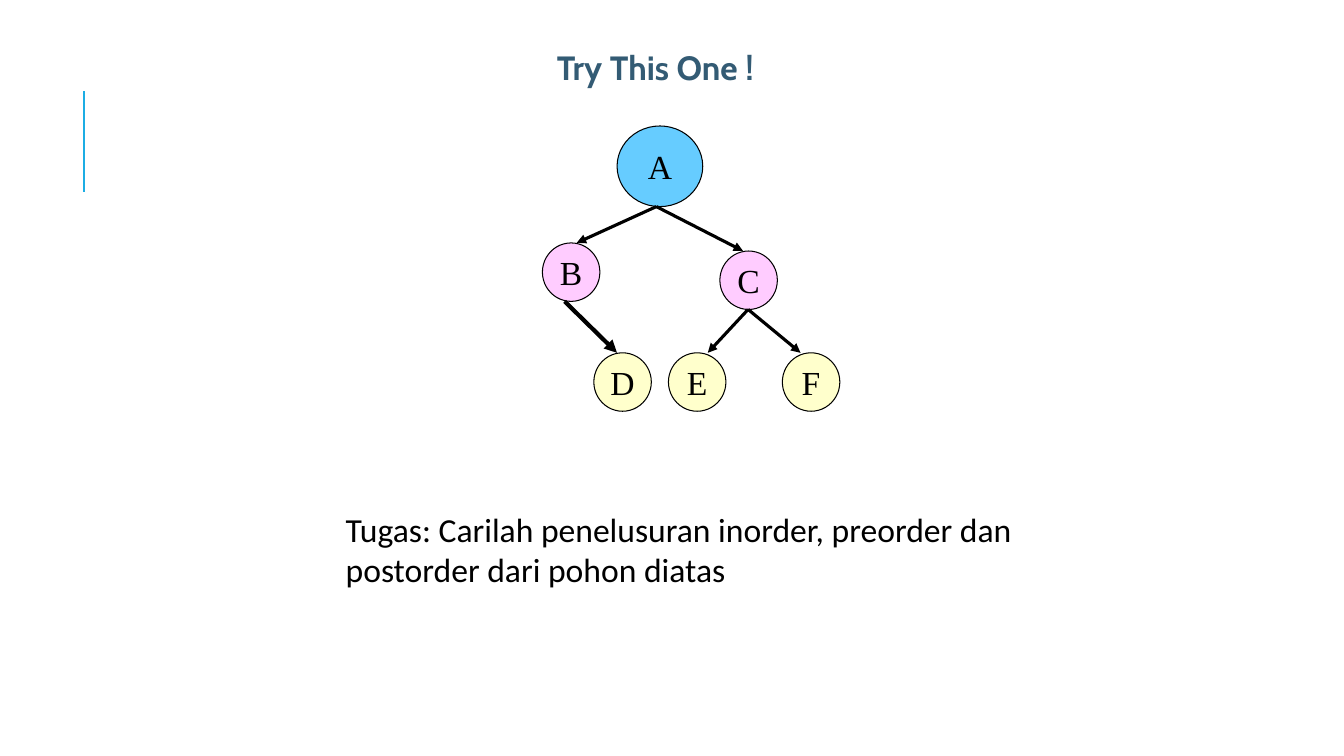
"""Build a slide with a binary tree and a traversal exercise."""
from lxml import etree
from pptx import Presentation
from pptx.dml.color import RGBColor
from pptx.enum import shapes, text
from pptx.oxml import ns
from pptx.util import Inches, Pt

COLORS = {
    "accent": "1CADE4",
    "title": "335B74",
    "ink": "000000",
    "root": "66CCFF",
    "inner": "FFCCFF",
    "leaf": "FFFFCC",
}


def write(box, words, font, color="ink", bold=False, align=text.PP_ALIGN.LEFT,
          anchor=text.MSO_ANCHOR.TOP, wrap=True, fit=text.MSO_AUTO_SIZE.NONE):
    frame = box.text_frame
    frame.word_wrap = wrap
    frame.auto_size = fit
    frame.vertical_anchor = anchor
    para = frame.paragraphs[0]
    para.alignment = align
    span = para.add_run()
    span.text = words
    span.font.name = font
    span.font.size = Pt(24)
    span.font.bold = bold
    span.font.color.rgb = RGBColor.from_string(COLORS[color])


def draw_line(page, start, end, color, width, arrow=True):
    line = page.shapes.add_connector(
        shapes.MSO_CONNECTOR.STRAIGHT, *map(Inches, start + end))
    line.line.color.rgb = RGBColor.from_string(COLORS[color])
    line.line.width = Pt(width)
    if arrow:
        etree.SubElement(line.get_or_add_ln(), ns.qn("a:tailEnd"), type="triangle")
    etree.SubElement(line.element.spPr, ns.qn("a:effectLst"))


deck = Presentation()
deck.slide_width, deck.slide_height = Inches(13.33), Inches(7.5)
page = deck.slides.add_slide(deck.slide_layouts[5])

draw_line(page, (0.83, 1.9), (0.83, 0.9), "accent", 1.5, arrow=False)

title = page.shapes.title
title.left, title.top = Inches(3.83), Inches(0.42)
title.width, title.height = Inches(5.42), Inches(0.5)
title.text_frame.margin_right = Inches(0.18)
write(title, "Try This One !", "Cabin", color="title", bold=True,
      align=text.PP_ALIGN.CENTER, fit=text.MSO_AUTO_SIZE.SHAPE_TO_FIT_TEXT)

sizes = {"root": (0.85, 0.8), "inner": (0.57, 0.58), "leaf": (0.57, 0.58)}
nodes = [
    ("A", "root", 6.12, 1.25),
    ("B", "inner", 5.38, 2.41),
    ("C", "inner", 7.14, 2.49),
    ("D", "leaf", 5.89, 3.5),
    ("E", "leaf", 6.63, 3.5),
    ("F", "leaf", 7.76, 3.5),
]
for letter, level, left, top in nodes:
    node = page.shapes.add_shape(
        shapes.MSO_SHAPE.OVAL, *map(Inches, (left, top) + sizes[level]))
    node.shadow.inherit = False
    node.fill.solid()
    node.fill.fore_color.rgb = RGBColor.from_string(COLORS[level])
    node.line.color.rgb = RGBColor.from_string(COLORS["ink"])
    node.line.width = Pt(0.75)
    write(node, letter, "Times New Roman", align=text.PP_ALIGN.CENTER,
          anchor=text.MSO_ANCHOR.MIDDLE, wrap=False)

below_a, below_b, below_c = (6.51, 2.05), (5.6, 2.99), (7.42, 3.07)
edges = [
    (below_a, (5.72, 2.41), 2.25),
    (below_a, (7.37, 2.49), 2.25),
    (below_b, (6.12, 3.5), 3),
    (below_c, (7.02, 3.5), 2.25),
    (below_c, (7.94, 3.5), 2.25),
]
for start, end, width in edges:
    draw_line(page, start, end, "ink", width)

task = page.shapes.add_textbox(Inches(3.33), Inches(5), Inches(7.79), Inches(0.91))
write(task, "Tugas: Carilah penelusuran inorder, preorder dan postorder dari pohon diatas",
      "Calibri", fit=text.MSO_AUTO_SIZE.SHAPE_TO_FIT_TEXT)

deck.save("out.pptx")
